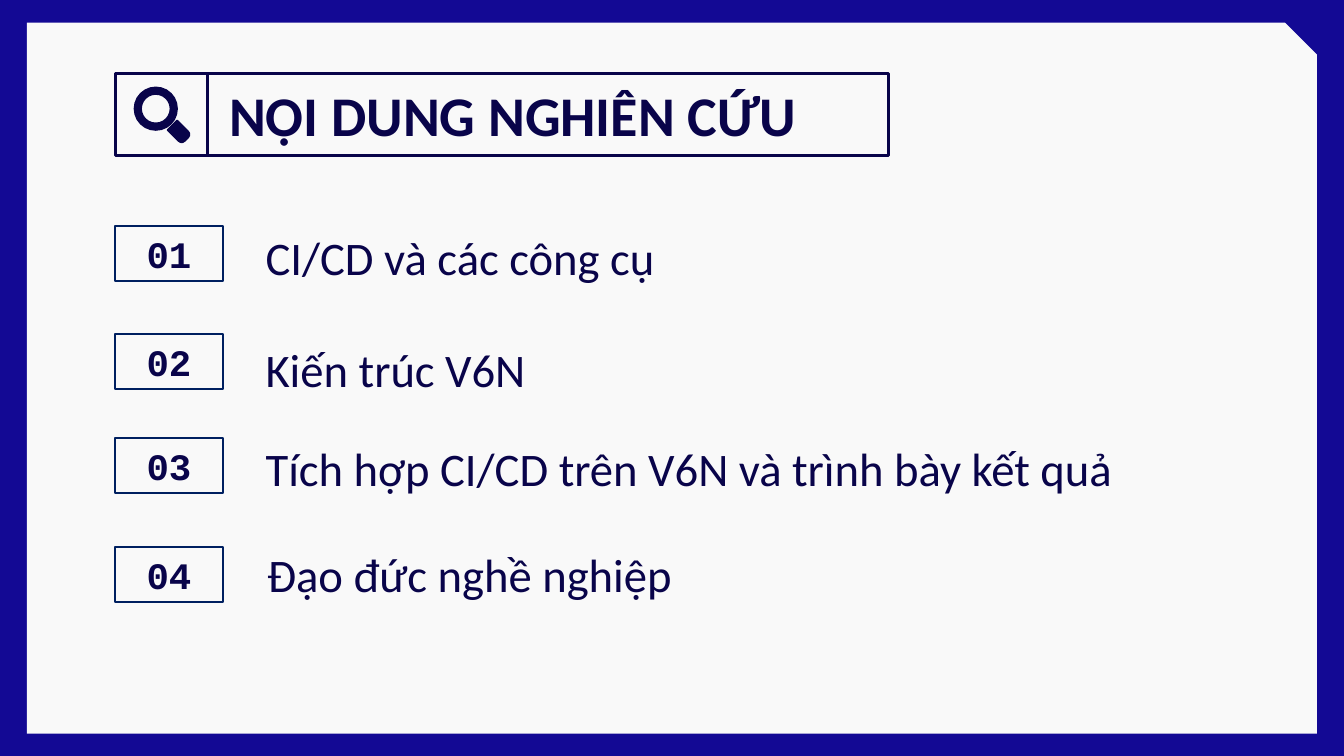
from dataclasses import dataclass
from typing import Any

from lxml.etree import SubElement
from pptx import Presentation
from pptx.dml.color import RGBColor
from pptx.enum.shapes import MSO_CONNECTOR as Connector, MSO_SHAPE as Preset
from pptx.enum.text import MSO_ANCHOR as Anchor, MSO_AUTO_SIZE as AutoSize, PP_ALIGN as Align
from pptx.oxml.ns import qn
from pptx.util import Cm, Pt

BLUE, PAPER, NAVY, EDGE = "130994", "F9F9F9", "09044A", "002060"
TITLE = {"name": "Calibri", "size": Pt(30), "bold": True}
TOPIC = {"name": "Calibri", "size": Pt(25)}
NUMBER = {"name": "Courier New", "size": Pt(20), "bold": True}


@dataclass(frozen=True)
class Area:
    """Left, top, width and height in centimetres."""
    left: float
    top: float
    width: float
    height: float

    def lengths(self) -> tuple:
        return Cm(self.left), Cm(self.top), Cm(self.width), Cm(self.height)


@dataclass(frozen=True)
class Topic:
    text: str
    number_top: float
    area: Area
    indent: float = 1.19
    spacing: float = 1.5


TOPICS = [
    Topic("CI/CD và các công cụ", 4.27, Area(3.58, 3.68, 12.7, 1.7)),
    Topic("Kiến trúc V6N", 6.32, Area(3.58, 5.79, 12.7, 1.7)),
    Topic("Tích hợp CI/CD trên V6N và trình bày kết quả", 8.28, Area(3.58, 7.67, 17.88, 1.7)),
    Topic("Đạo đức nghề nghiệp", 10.34, Area(4.8, 10.19, 13.56, 1.32), 0, 1),
]


def paint(colour_format: Any, colour: str) -> None:
    """Give a fill or a line one solid colour."""
    fill = getattr(colour_format, "fill", colour_format)
    fill.solid()
    fill.fore_color.rgb = RGBColor.from_string(colour)


def apply(target: Any, values: dict) -> None:
    for name, value in values.items():
        setattr(target, name, value)


def add_preset(page: Any, preset: Preset, area: Area, fill: str = "",
               line: str = "", weight: float = 0) -> Any:
    shape = page.shapes.add_shape(preset, *area.lengths())
    shape.shadow.inherit = False
    if fill:
        paint(shape.fill, fill)
    else:
        shape.fill.background()
    if line:
        paint(shape.line, line)
        shape.line.width = Pt(weight)
    else:
        shape.line.fill.background()
    return shape


def write(box: Any, text: str, style: dict) -> Any:
    """Write one navy span and return its paragraph."""
    para = box.text_frame.paragraphs[0]
    span = para.add_run()
    span.text = text
    apply(span.font, style)
    paint(span.font, NAVY)
    return para


def add_text(page: Any, area: Area, text: str, style: dict) -> Any:
    box = page.shapes.add_textbox(*area.lengths())
    apply(box.text_frame, {"word_wrap": True, "auto_size": AutoSize.SHAPE_TO_FIT_TEXT})
    return write(box, text, style)


def add_header(page: Any) -> None:
    add_preset(page, Preset.RECTANGLE, Area(2.18, 1.39, 14.61, 1.55), PAPER, NAVY, 1.5)
    add_text(page, Area(4.08, 1.4, 11.68, 1.55), "NỘI DUNG NGHIÊN CỨU", TITLE)

    # Magnifying glass: handle, then lens ring
    handle = add_preset(page, Preset.ROUND_2_SAME_RECTANGLE,
                        Area(3.26, 2.31, 0.26, 0.38), NAVY, NAVY, 0.75)
    handle.rotation = 135
    handle.adjustments[0] = 0.3
    lens = add_preset(page, Preset.DONUT, Area(2.54, 1.65, 0.81, 0.81), NAVY, NAVY, 0.75)
    lens.adjustments[0] = 0.16

    # Divider between icon and title
    divider = page.shapes.add_connector(Connector.STRAIGHT, Cm(3.92), Cm(1.4), Cm(3.92), Cm(2.93))
    paint(divider.line, NAVY)
    divider.line.width = Pt(1.5)
    SubElement(divider._element.spPr, qn("a:effectLst"))


def add_topic(page: Any, number: int, topic: Topic) -> None:
    para = add_text(page, topic.area, topic.text, TOPIC)
    para.line_spacing = topic.spacing
    para._p.get_or_add_pPr().set("marL", str(Cm(topic.indent)))

    badge = add_preset(page, Preset.RECTANGLE, Area(2.18, topic.number_top, 2.03, 1.04),
                       line=EDGE, weight=1)
    sides = ("left", "top", "right", "bottom")
    apply(badge.text_frame, {f"margin_{side}": Cm(0.25) for side in sides})
    badge.text_frame.vertical_anchor = Anchor.MIDDLE
    write(badge, f"{number:02}", NUMBER).alignment = Align.CENTER


def main() -> None:
    deck = Presentation()
    apply(deck, {"slide_width": Cm(25.4), "slide_height": Cm(14.29)})
    page = deck.slides.add_slide(deck.slide_layouts[6])

    # Blue frame around a sheet with a cut corner
    paint(page.background.fill, BLUE)
    sheet = add_preset(page, Preset.SNIP_1_RECTANGLE, Area(0.51, 0.43, 24.38, 13.44), PAPER)
    sheet.adjustments[0] = 0.045

    # Title bar and numbered topics
    add_header(page)
    for number, topic in enumerate(TOPICS, 1):
        add_topic(page, number, topic)
    deck.save("out.pptx")


if __name__ == "__main__":
    main()
